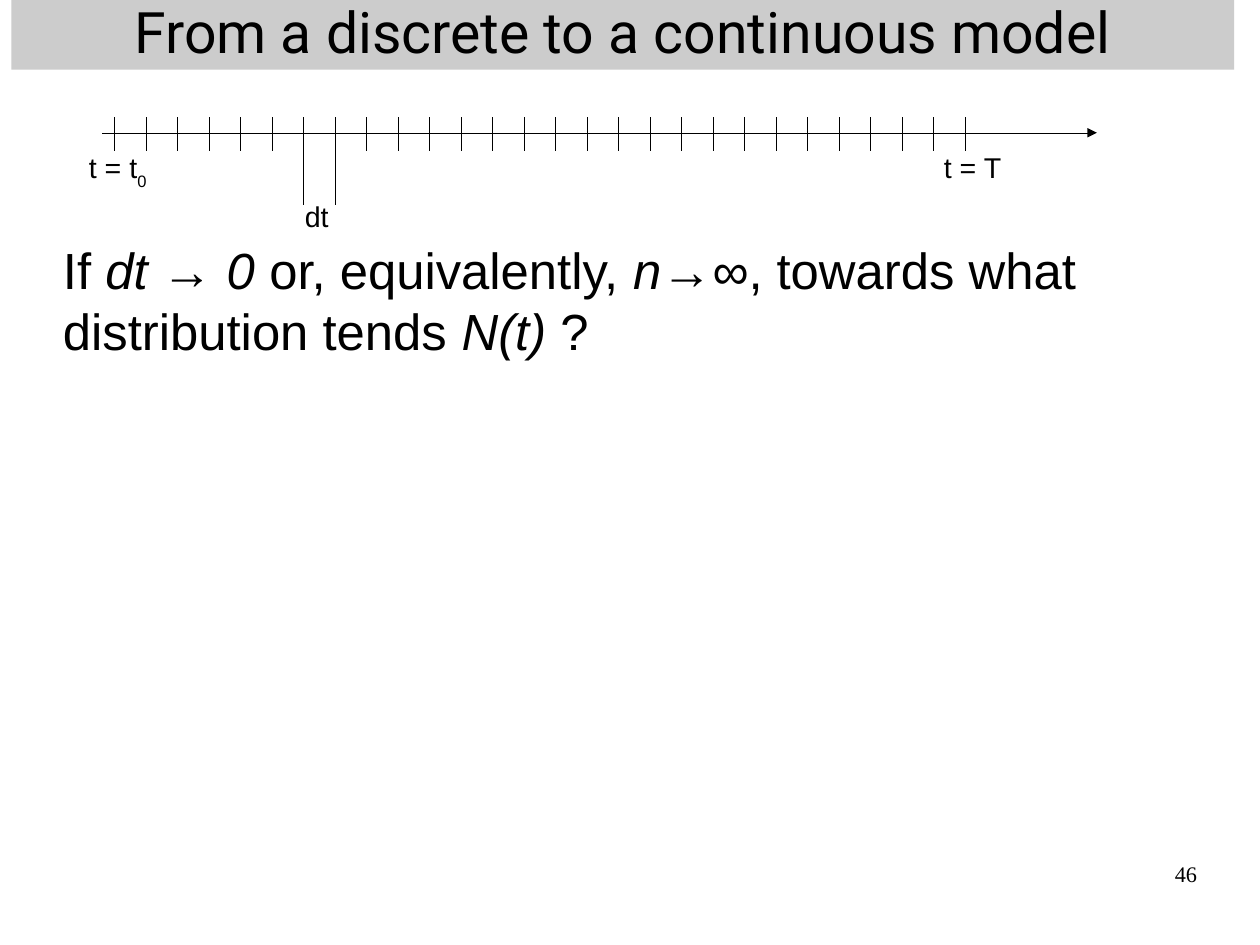
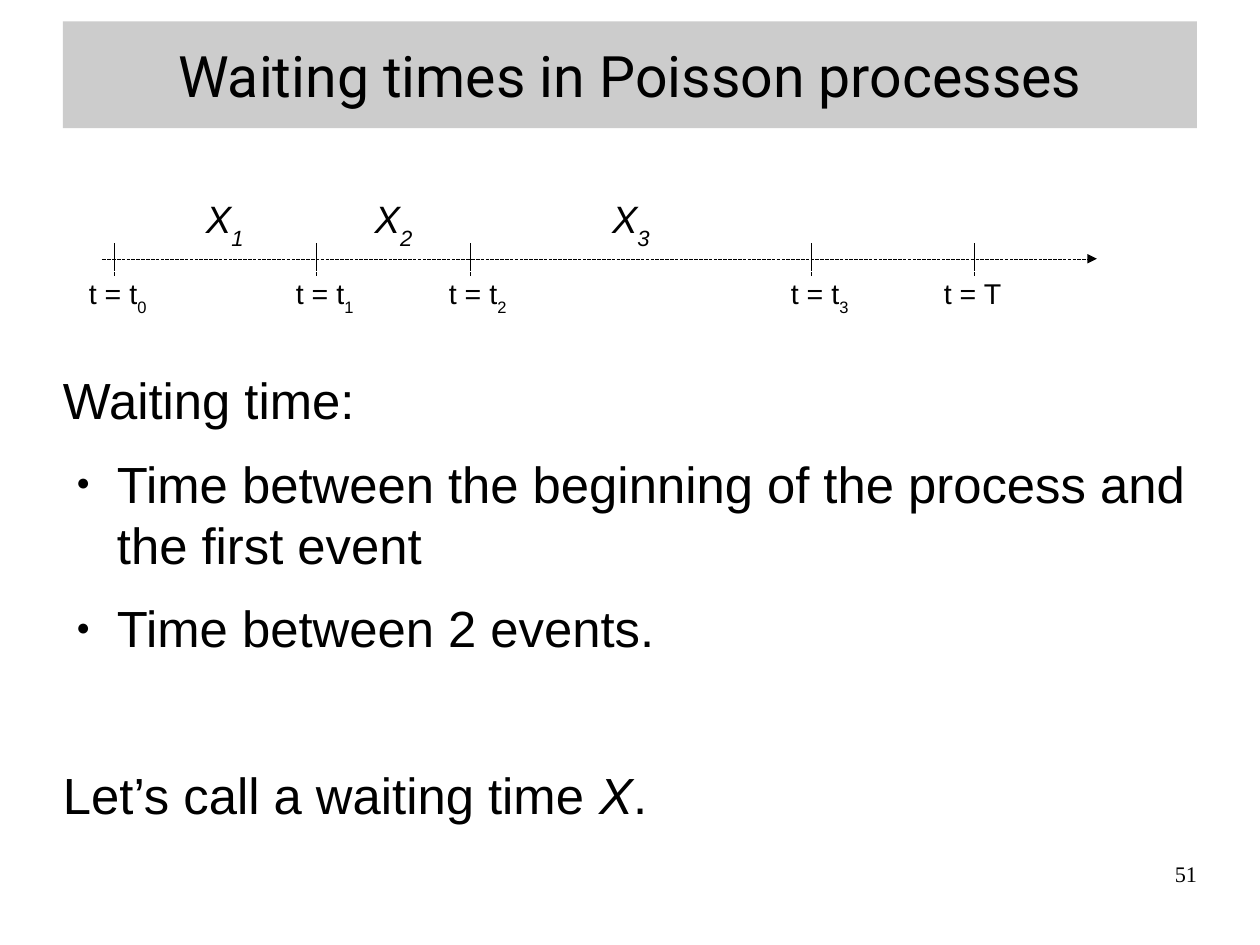
from lxml import etree
from pptx import Presentation
from pptx.dml.color import RGBColor
from pptx.enum.dml import MSO_LINE
from pptx.enum.shapes import MSO_CONNECTOR, MSO_SHAPE
from pptx.enum.text import MSO_ANCHOR, PP_ALIGN
from pptx.oxml.ns import qn
from pptx.util import Emu, Pt

SCALE = 9000  # EMU in one px, a quarter of a millimetre
WIDE, HIGH = 1120, 840
COLORS = {"ink": "000000", "band": "CCCCCC"}
BODY, HEAD, FOOT = "Arial", "Roboto", "Times New Roman"
LEFT, CENTER, RIGHT = PP_ALIGN.LEFT, PP_ALIGN.CENTER, PP_ALIGN.RIGHT
TOP, MIDDLE = MSO_ANCHOR.TOP, MSO_ANCHOR.MIDDLE
STRAIGHT, RECT = MSO_CONNECTOR.STRAIGHT, MSO_SHAPE.RECTANGLE
SOLID, DASH = MSO_LINE.SOLID, MSO_LINE.SQUARE_DOT
GAP = 14.2  # points between paragraphs
LINE = 38.4  # points from one body line to the next


def px(*nums):
    return [Emu(num * SCALE) for num in nums]


def color(name):
    return RGBColor.from_string(COLORS[name])


def add_bullet(para):
    props = para._p.get_or_add_pPr()
    indent, hang = px(48, -36)
    props.set("marL", str(indent))
    props.set("indent", str(hang))
    tint = etree.SubElement(props, qn("a:buClr"))
    etree.SubElement(tint, qn("a:srgbClr"), val=COLORS["ink"])
    etree.SubElement(props, qn("a:buSzPct"), val="45000")
    etree.SubElement(props, qn("a:buFont"), typeface=BODY)
    etree.SubElement(props, qn("a:buChar"), char="●")


def write(shape, paras, size=18, font=BODY, align=LEFT, anchor=TOP,
          pad=(0, 0), italic=False):
    """Fill a shape; a paragraph is (runs, gap before, bullet), a run (text, style)."""
    frame = shape.text_frame
    frame.word_wrap = True
    frame.vertical_anchor = anchor
    side, edge = px(*pad)
    frame.margin_left = frame.margin_right = side
    frame.margin_top = frame.margin_bottom = edge
    for num, (runs, before, bullet) in enumerate(paras):
        para = frame.add_paragraph() if num else frame.paragraphs[0]
        para.alignment = align
        para.space_before = Pt(before)
        if bullet:
            add_bullet(para)
        for words, style in runs:
            run = para.add_run()
            run.text = words
            run.font.size, run.font.name = Pt(size), font
            run.font.italic = italic or style == "italic"
            run.font.color.rgb = color("ink")
            if style == "sub":
                run.font._element.set("baseline", "-33000")


def plain(words):
    return [([(words, "")], 0, False)]


def add_text(slide, box, paras, **form):
    write(slide.shapes.add_textbox(*px(*box)), paras, **form)


def add_title(slide, box, words):
    band = slide.shapes.add_shape(RECT, *px(*box))
    band.shadow.inherit = False
    band.fill.solid()
    band.fill.fore_color.rgb = color("band")
    band.line.fill.background()
    write(band, plain(words), size=36, font=HEAD, align=CENTER, anchor=MIDDLE)


def add_body(slide, top, paras):
    add_text(slide, (56, top, 1008, 487), paras, size=32)


def add_label(slide, left, top, words, sub="", width=73, high=39, **form):
    runs = [(words, "")] + ([(sub, "sub")] if sub else [])
    add_text(slide, (left, top, width, high), [(runs, 0, False)],
             pad=(10, 5), **form)


def add_line(slide, ends, dash=SOLID, arrow=False):
    """Draw a hairline."""
    line = slide.shapes.add_connector(STRAIGHT, *px(*ends))
    line.line.color.rgb = color("ink")
    line.line.dash_style = dash
    stroke = line.line._get_or_add_ln()
    stroke.set("w", "0")
    if arrow:
        etree.SubElement(stroke, qn("a:tailEnd"), type="triangle")
    etree.SubElement(line._element.spPr, qn("a:effectLst"))


def add_axis(slide, mid, ticks, dash=SOLID):
    """Draw a time arrow at height mid, with ticks given as (place, depth)."""
    add_line(slide, (91, mid, 975, mid), dash, arrow=True)
    for place, depth in ticks:
        add_line(slide, (place, mid - 14, place, mid + depth), dash)


def add_page(deck, box, title, number):
    slide = deck.slides.add_slide(deck.slide_layouts[6])
    add_title(slide, box, title)
    add_text(slide, (803, 765, 261, 58), plain(number), size=14, font=FOOT, align=RIGHT)
    return slide


def build_model(deck):
    slide = add_page(deck, (10, -7, 1087, 69),
                     "From a discrete to a continuous model", "46")
    first, step, count = 102, 28, 28
    add_axis(slide, 118, [(first + num * step, 64 if num in (6, 7) else 16)
                          for num in range(count)])
    add_label(slide, 69, 128, "t = t", "0", high=45)
    add_label(slide, 829, 128, "t = T")
    add_label(slide, 261, 172, "dt", width=52)
    add_body(slide, 212, [([
        ("If ", ""), ("dt → 0", "italic"), (" or, equivalently, ", ""),
        ("n→∞", "italic"), (", towards what distribution tends ", ""),
        ("N(t)", "italic"), (" ?", "")], 0, False)])


def build_waits(deck):
    slide = add_page(deck, (56, 19, 1008, 95),
                     "Waiting times in Poisson processes", "51")
    marks = [(102, 69, "t = t", "0"), (281, 253, "t = t", "1"),
             (418, 389, "t = t", "2"), (721, 693, "t = t", "3"),
             (866, 829, "t = T", "")]
    add_axis(slide, 230, [(mark[0], 16) for mark in marks], DASH)
    for _, left, words, sub in marks:
        add_label(slide, left, 240, words, sub, high=45 if sub else 39)
    for num, (left, width) in enumerate([(173, 71), (323, 68), (534, 65)], 1):
        add_label(slide, left, 169, "X", str(num), width, 93, size=24, italic=True)
    add_body(slide, 328, [
        ([("Waiting time:", "")], 0, False),
        ([("Time between the beginning of the process and the first event", "")],
         GAP, True),
        ([("Time between 2 events.", "")], GAP, True),
        ([("Let’s call a waiting time ", ""), ("X", "italic"), (".", "")],
         2 * GAP + LINE, False)])


def main():
    deck = Presentation()
    deck.slide_width, deck.slide_height = px(WIDE, HIGH)
    build_model(deck)
    build_waits(deck)
    deck.save("out.pptx")


if __name__ == "__main__":
    main()
